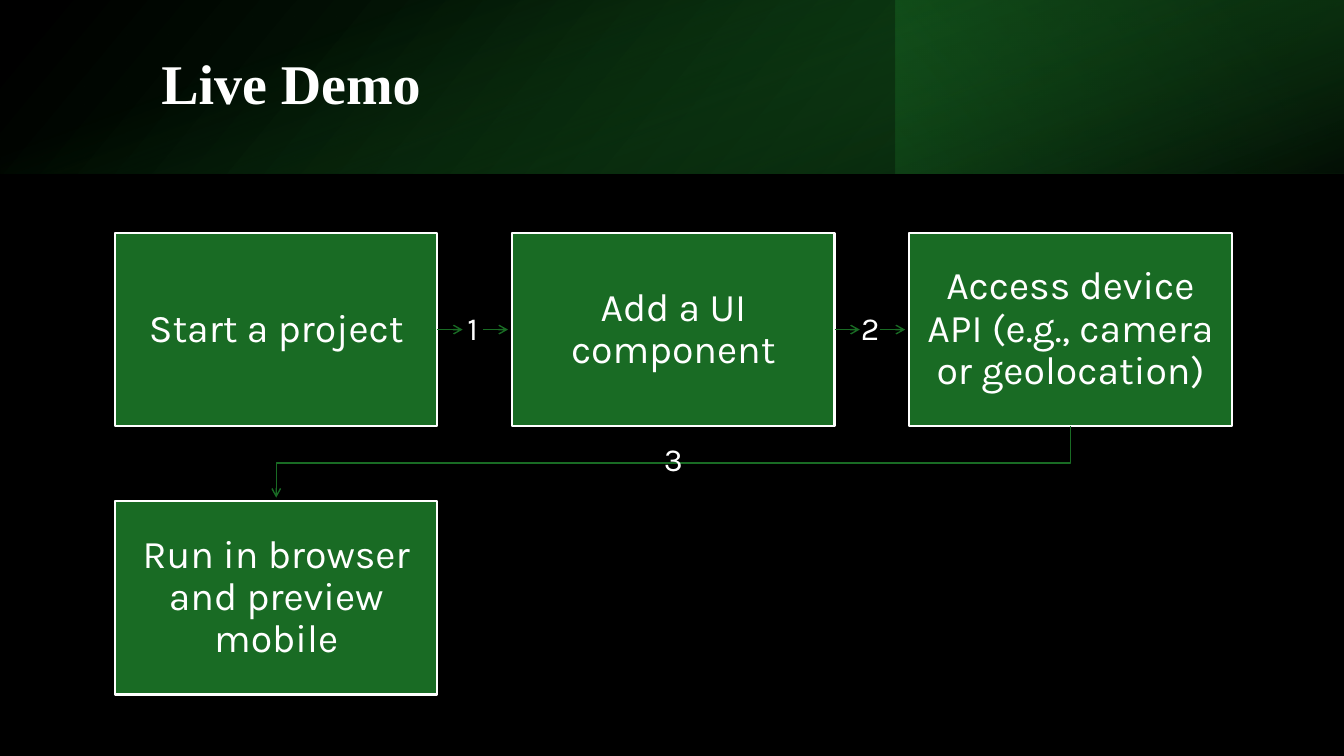
import pptx
import pptx.util
import pptx.dml.color
import pptx.enum.shapes
import pptx.enum.text
import pptx.oxml
import pptx.oxml.ns

Pt = pptx.util.Pt
SHAPE = pptx.enum.shapes.MSO_SHAPE
ALIGN = pptx.enum.text.PP_ALIGN
NS = 'xmlns:a="http://schemas.openxmlformats.org/drawingml/2006/main"'
WIDE, HIGH, BAND = 960, 540, 123.84
GREEN, WHITE, BLACK = "196B24", "FFFFFF", "000000"
STEPS = [
    "Start a project",
    "Add a UI component",
    "Access device API (e.g., camera or geolocation)",
    "Run in browser and preview mobile",
]


def color(code):
    """Turn a hex string into a colour."""
    return pptx.dml.color.RGBColor.from_string(code)


def write(shape, text, size, font="Karla", bold=False, align=ALIGN.CENTER, pad=None):
    """Set one middle-anchored paragraph in a shape."""
    frame = shape.text_frame
    frame.word_wrap = True
    frame.auto_size = pptx.enum.text.MSO_AUTO_SIZE.NONE
    frame.vertical_anchor = pptx.enum.text.MSO_ANCHOR.MIDDLE
    if pad:
        frame.margin_left = frame.margin_right = Pt(pad[0])
        frame.margin_top = frame.margin_bottom = Pt(pad[1])
    para = frame.paragraphs[0]
    para.alignment = align
    para.line_spacing = 0.9
    run = para.add_run()
    run.text = text
    run.font.name = font
    run.font.size = Pt(size)
    run.font.bold = bold
    run.font.color.rgb = color(WHITE)


def blend(slide, box, stops, angle, turn=0, flip=False):
    """Add a gradient panel; stops hold position, colour and opacity in percent."""
    shape = slide.shapes.add_shape(SHAPE.RECTANGLE, *map(Pt, box))
    shape.shadow.inherit = False
    shape.line.fill.background()
    shape.rotation = turn
    if flip:
        shape._element.spPr.xfrm.set("flipH", "1")
    shape.fill.gradient()
    shape.fill.gradient_angle = 360 - angle
    for stop, (place, code, _) in zip(shape.fill.gradient_stops, stops):
        stop.position = place / 100
        stop.color.rgb = color(code)
    tints = shape._element.spPr.iter(pptx.oxml.ns.qn("a:srgbClr"))
    for tint, (_, _, alpha) in zip(tints, stops):
        tint.append(pptx.oxml.parse_xml(f'<a:alpha {NS} val="{alpha * 1000}"/>'))


def header(slide, box, text):
    """Lay the gradient band and the title in the box."""
    left, top, width, height = box
    third = width / 3
    blend(slide, box, [(0, BLACK, 96), (100, "13501B", 100)], 140, flip=True)
    blend(slide, (left + 2 * third, top, third, height),
          [(19, "0D3612", 68), (100, GREEN, 79)], 320, turn=180)
    shift = (width - height) / 2
    blend(slide, (left + shift, top - shift, height, width),
          [(23, GREEN, 0), (99, BLACK, 74)], 340, turn=90)
    title = slide.shapes.title
    title.left, title.top = Pt(left + 108), Pt(top + 27.36)
    title.width, title.height = Pt(790.56), Pt(69.12)
    write(title, text, 40, "Times New Roman", True, ALIGN.LEFT)
    slide.shapes._spTree.append(title._element)


def stroke(shape):
    """Style a line as a thin green arrow without shadow."""
    shape.line.color.rgb = color(GREEN)
    shape.line.width = Pt(1)
    shape.line._get_or_add_ln().append(
        pptx.oxml.parse_xml(f'<a:tailEnd {NS} type="arrow"/>'))
    shape._element.spPr.append(pptx.oxml.parse_xml(f"<a:effectLst {NS}/>"))


def label(slide, text, mid, y, width):
    """Centre a step number on a point."""
    box = (mid - width / 2, y - 13, width, 26)
    shape = slide.shapes.add_textbox(*map(Pt, box))
    write(shape, text, 23, pad=(0.7, 0))


def card(slide, box, text):
    """Add one step box."""
    shape = slide.shapes.add_shape(SHAPE.RECTANGLE, *map(Pt, box))
    shape.shadow.inherit = False
    shape.fill.solid()
    shape.fill.fore_color.rgb = color(GREEN)
    shape.line.color.rgb = color(WHITE)
    shape.line.width = Pt(1.5)
    write(shape, text, 28, pad=(11.4, 11.4))
    return shape


def across(slide, start, text, x, y):
    """Link a card to its right neighbour with two short arrows and a number."""
    for index, left in enumerate((x, x + 32.4)):
        line = slide.shapes.add_connector(
            pptx.enum.shapes.MSO_CONNECTOR.STRAIGHT,
            Pt(left), Pt(y), Pt(left + 18), Pt(y))
        if index == 0:
            line.begin_connect(start, 3)
        stroke(line)
    label(slide, text, x + 25.2, y, 14.4)


def down(slide, text, first, last):
    """Link a card to the first one of the next row with a bent arrow."""
    (x, y), (end, low) = first, last
    bend = y + 26.2
    path = slide.shapes.build_freeform(Pt(x), Pt(y))
    path.add_line_segments(
        [(Pt(x), Pt(bend)), (Pt(end), Pt(bend)), (Pt(end), Pt(low))], close=False)
    shape = path.convert_to_shape()
    shape.fill.background()
    stroke(shape)
    label(slide, text, (x + end) / 2, bend - 1.4, 28.8)


def flow(slide, box, steps, cols=3):
    """Place the steps row by row in the box and link them in order."""
    left, top, width, height = box
    wide, high = 230.4, 138.24
    pitch = (width - wide) / (cols - 1)
    drop = height - high
    spots = [(left + i % cols * pitch, top + i // cols * drop)
             for i in range(len(steps))]
    cards = [card(slide, (x, y, wide, high), text)
             for (x, y), text in zip(spots, steps)]
    for i, (x, y) in enumerate(spots[:-1]):
        if (i + 1) % cols:
            across(slide, cards[i], str(i + 1), x + wide, y + high / 2)
        else:
            after = spots[i + 1]
            down(slide, str(i + 1), (x + wide / 2, y + high),
                 (after[0] + wide / 2, after[1] - 2.4))


def main():
    """Build and save the slide."""
    deck = pptx.Presentation()
    deck.slide_width, deck.slide_height = Pt(WIDE), Pt(HIGH)
    slide = deck.slides.add_slide(deck.slide_layouts[5])
    slide.background.fill.solid()
    slide.background.fill.fore_color.rgb = color(BLACK)
    header(slide, (0, 0, WIDE, BAND), "Live Demo")
    flow(slide, (82.08, 166.32, 797.76, 329.76), STEPS)
    deck.save("out.pptx")


if __name__ == "__main__":
    main()
